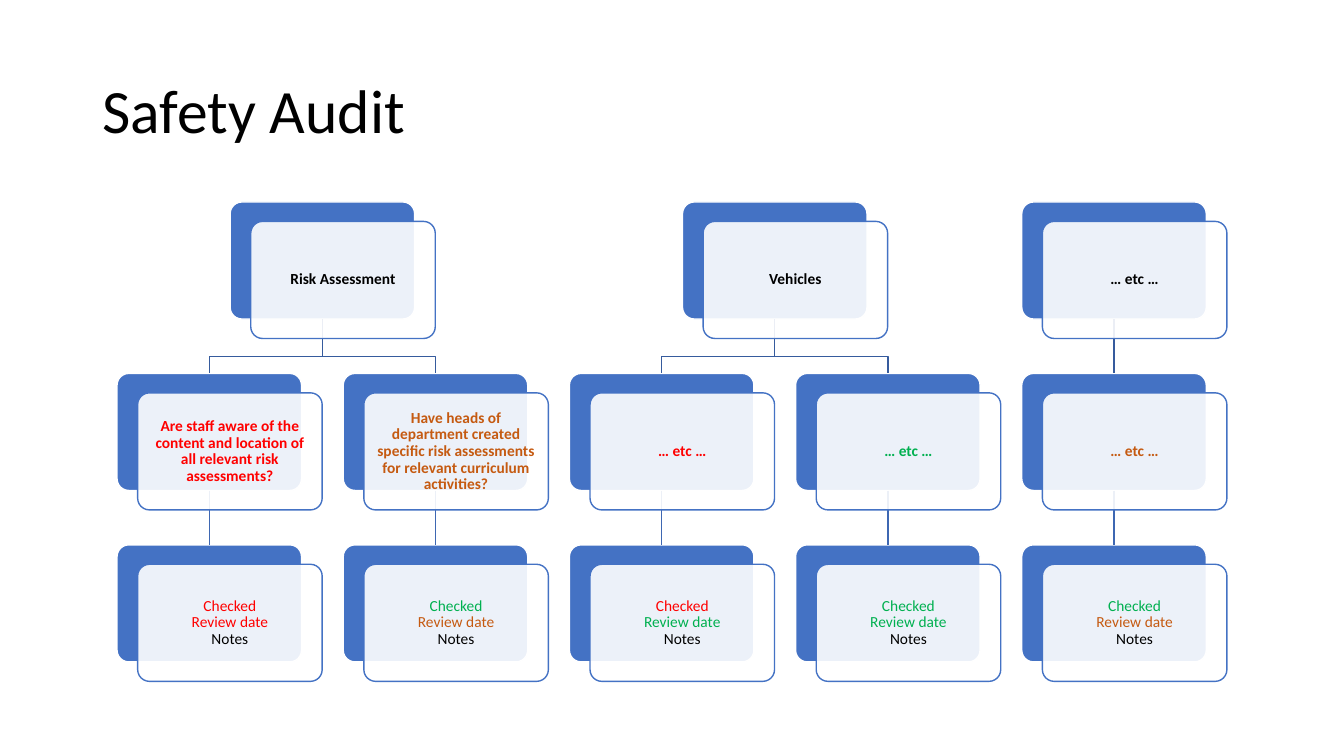
from lxml import etree
from pptx import Presentation
from pptx.dml.color import RGBColor
from pptx.enum.shapes import MSO_CONNECTOR, MSO_SHAPE
from pptx.enum.text import MSO_ANCHOR, PP_ALIGN
from pptx.oxml.ns import qn
from pptx.util import Cm, Pt

STRAIGHT = MSO_CONNECTOR.STRAIGHT
ROUNDED = MSO_SHAPE.ROUNDED_RECTANGLE
MIDDLE = MSO_ANCHOR.MIDDLE
LEFT, CENTER = PP_ALIGN.LEFT, PP_ALIGN.CENTER
BOTTOM_SITE, TOP_SITE = 2, 0

COLORS = {
    "blue": "4472C4", "white": "FFFFFF", "black": "000000",
    "red": "FF0000", "orange": "C55A11", "green": "00B050",
    "upper line": "365B9D", "lower line": "3E67B2",
}
FONT = "Calibri"

# Grid in centimetres
FIRST_LEFT, FIRST_TOP = 2.95, 5.09
COLUMN_STEP, ROW_STEP = 5.7, 4.32
BOX_WIDTH, BOX_HEIGHT = 4.65, 2.95
CARD_SHIFT_X, CARD_SHIFT_Y = 0.52, 0.49
ELBOW_DROP = 0.95

# Topic, then its questions: text, colour, colours of "Checked" and "Review date"
TOPICS = [
    ("Risk Assessment", [
        ("Are staff aware of the content and location of all relevant risk assessments?",
         "red", "red", "red"),
        ("Have heads of department created specific risk assessments "
         "for relevant curriculum activities?", "orange", "green", "orange"),
    ]),
    ("Vehicles", [
        ("… etc …", "red", "red", "green"),
        ("… etc …", "green", "green", "green"),
    ]),
    ("… etc …", [("… etc …", "orange", "green", "orange")]),
]


def color(name):
    return RGBColor.from_string(COLORS[name])


def add_box(left, top, fill, line):
    box = slide.shapes.add_shape(ROUNDED, Cm(left), Cm(top), Cm(BOX_WIDTH), Cm(BOX_HEIGHT))
    box.adjustments[0] = 0.1
    box.shadow.inherit = False
    box.fill.solid()
    box.fill.fore_color.rgb = color(fill)
    box.line.color.rgb = color(line)
    box.line.width = Pt(1)
    return box


presentation = Presentation()
presentation.slide_width, presentation.slide_height = Cm(33.87), Cm(19.05)
slide = presentation.slides.add_slide(presentation.slide_layouts[5])

title = slide.shapes.title
title.left, title.top, title.width, title.height = Cm(2.33), Cm(1.01), Cm(29.21), Cm(3.68)
title.text_frame.text = "Safety Audit"
title.text_frame.vertical_anchor = MIDDLE
title_paragraph = title.text_frame.paragraphs[0]
title_paragraph.alignment = LEFT
title_paragraph.line_spacing = 0.9
title_font = title_paragraph.runs[0].font
title_font.name, title_font.size = FONT, Pt(44)
title_font.color.rgb = color("black")

# Nodes: column, row, text, colours of its lines, bold
nodes = []
links = []
column = 0
for topic, questions in TOPICS:
    topic_index = len(nodes)
    nodes.append((column + (len(questions) - 1) / 2, 0, topic, ["black"], True))
    for question, question_color, checked_color, review_color in questions:
        question_index = len(nodes)
        nodes.append((column, 1, question, [question_color], True))
        nodes.append((column, 2, "Checked\vReview date\vNotes",
                      [checked_color, review_color, "black"], False))
        links.append((topic_index, question_index, "upper line"))
        links.append((question_index, question_index + 1, "lower line"))
        column += 1

back_boxes = [
    add_box(FIRST_LEFT + column * COLUMN_STEP, FIRST_TOP + row * ROW_STEP, "blue", "white")
    for column, row, *_ in nodes
]

for parent_index, child_index, line_color in links:
    parent, child = back_boxes[parent_index], back_boxes[child_index]
    parent_x = parent.left + parent.width // 2
    child_x = child.left + child.width // 2
    start_y = parent.top + parent.height
    if parent_x == child_x:
        link = slide.shapes.add_connector(STRAIGHT, parent_x, start_y, child_x, child.top)
        link.begin_connect(parent, BOTTOM_SITE)
        link.end_connect(child, TOP_SITE)
        etree.SubElement(link._element.spPr, qn("a:effectLst"))
    else:
        elbow_y = start_y + Cm(ELBOW_DROP)
        builder = slide.shapes.build_freeform(parent_x, start_y)
        builder.add_line_segments(
            [(parent_x, elbow_y), (child_x, elbow_y), (child_x, child.top)], close=False)
        link = builder.convert_to_shape()
        link.fill.background()
        link.shadow.inherit = False
    link.line.color.rgb = color(line_color)
    link.line.width = Pt(1)

for column, row, text, line_colors, bold in nodes:
    card = add_box(FIRST_LEFT + column * COLUMN_STEP + CARD_SHIFT_X,
                   FIRST_TOP + row * ROW_STEP + CARD_SHIFT_Y, "white", "blue")
    fill_color = card._element.spPr.find(qn("a:solidFill"))[0]
    etree.SubElement(fill_color, qn("a:alpha"), val="90000")
    frame = card.text_frame
    frame.word_wrap = True
    frame.vertical_anchor = MIDDLE
    frame.margin_left = frame.margin_right = frame.margin_top = frame.margin_bottom = Cm(0.21)
    paragraph = frame.paragraphs[0]
    paragraph.text = text
    paragraph.alignment = CENTER
    paragraph.line_spacing = 0.9
    for run, line_color in zip(paragraph.runs, line_colors):
        run.font.name, run.font.size, run.font.bold = FONT, Pt(11), bold
        run.font.color.rgb = color(line_color)
    for line_break in paragraph._p.findall(qn("a:br")):
        etree.SubElement(line_break, qn("a:rPr"), sz="1100")

presentation.save("out.pptx")
